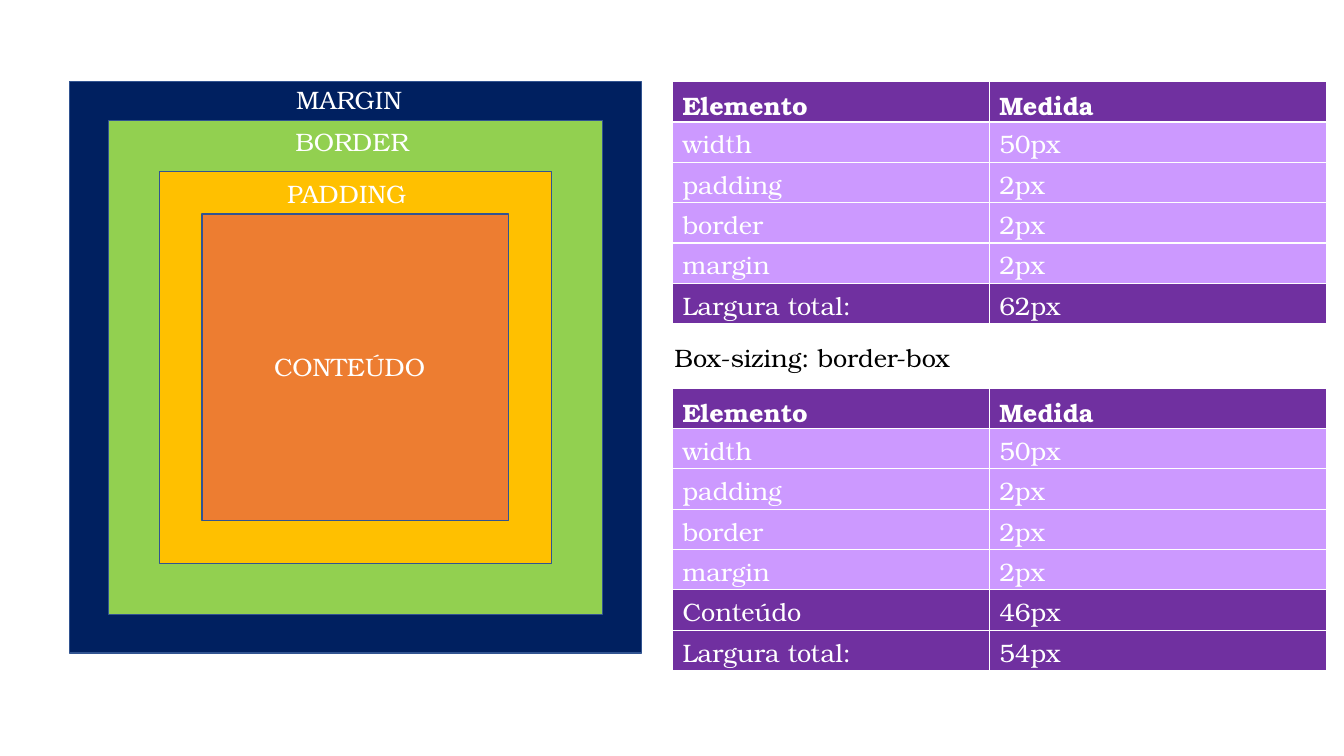
from collections import namedtuple
from dataclasses import dataclass

from pptx import Presentation
from pptx.dml.color import RGBColor
from pptx.enum.shapes import MSO_SHAPE
from pptx.enum.text import MSO_AUTO_SIZE
from pptx.util import Inches, Pt

Box = namedtuple("Box", "left top width height")
Layer = namedtuple("Layer", "name side color label_left label_top label_width")


@dataclass(frozen=True)
class Theme:
    font: str = "TeX Gyre Bonum"
    size: int = 18
    outline: str = "325491"
    outline_width: int = 1
    strong: str = "7030A0"
    soft: str = "CC99FF"
    light: str = "FFFFFF"
    dark: str = "000000"
    margin: str = "002060"
    border: str = "92D050"
    padding: str = "FFC000"
    content: str = "ED7D31"


THEME = Theme()

LAYERS = [
    Layer("MARGIN", 5.67, THEME.margin, 2.15, -0.02, 1.4),
    Layer("BORDER", 4.9, THEME.border, 2.14, 0.39, 1.41),
    Layer("PADDING", 3.89, THEME.padding, 2.06, 0.91, 1.55),
    Layer("CONTEÚDO", 3.04, THEME.content, 1.93, 2.63, 1.83),
]

MEASURES = [("width", "50px"), ("padding", "2px"), ("border", "2px"), ("margin", "2px")]
CONTENT_BOX_TOTALS = [("Largura total:", "62px")]
BORDER_BOX_TOTALS = [("Conteúdo", "46px"), ("Largura total:", "54px")]

ROW_HEIGHT = 0.4
ELEMENT_SHARE = 0.484


def style_paragraph(para, color, bold=False):
    para.font.name = THEME.font
    para.font.size = Pt(THEME.size)
    para.font.bold = bold
    para.font.color.rgb = RGBColor.from_string(color)


def add_label(page, box, text, color):
    frame = page.shapes.add_textbox(*map(Inches, box)).text_frame
    frame.word_wrap = False
    frame.auto_size = MSO_AUTO_SIZE.SHAPE_TO_FIT_TEXT
    frame.text = text
    style_paragraph(frame.paragraphs[0], color)


def add_box_model(page, box):
    for layer in LAYERS:
        left = box.left + (box.width - layer.side) / 2
        top = box.top + (box.height - layer.side) / 2
        square = page.shapes.add_shape(
            MSO_SHAPE.RECTANGLE, *map(Inches, (left, top, layer.side, layer.side))
        )
        square.shadow.inherit = False
        square.fill.solid()
        square.fill.fore_color.rgb = RGBColor.from_string(layer.color)
        square.line.color.rgb = RGBColor.from_string(THEME.outline)
        square.line.width = Pt(THEME.outline_width)
    for layer in LAYERS:
        label_box = Box(
            box.left + layer.label_left, box.top + layer.label_top, layer.label_width, 0.4
        )
        add_label(page, label_box, layer.name, THEME.light)


def add_measure_table(page, box, totals):
    rows = [("Elemento", "Medida"), *MEASURES, *totals]
    table = page.shapes.add_table(len(rows), 2, *map(Inches, box)).table
    table.horz_banding = False
    table.columns[0].width = Inches(box.width * ELEMENT_SHARE)
    table.columns[1].width = Inches(box.width * (1 - ELEMENT_SHARE))
    for row_index, values in enumerate(rows):
        table.rows[row_index].height = Inches(box.height / len(rows))
        is_measure = 1 <= row_index <= len(MEASURES)
        fill_color = THEME.soft if is_measure else THEME.strong
        for column_index, value in enumerate(values):
            cell = table.cell(row_index, column_index)
            cell.text = value
            cell.fill.solid()
            cell.fill.fore_color.rgb = RGBColor.from_string(fill_color)
            style_paragraph(cell.text_frame.paragraphs[0], THEME.light, row_index == 0)


def add_measure_tables(page, box):
    content_height = ROW_HEIGHT * (1 + len(MEASURES) + len(CONTENT_BOX_TOTALS))
    border_height = ROW_HEIGHT * (1 + len(MEASURES) + len(BORDER_BOX_TOTALS))
    bottom_top = box.top + box.height - border_height
    add_measure_table(
        page, Box(box.left, box.top, box.width, content_height), CONTENT_BOX_TOTALS
    )
    add_measure_table(
        page, Box(box.left, bottom_top, box.width, border_height), BORDER_BOX_TOTALS
    )
    caption_box = Box(box.left - 0.08, bottom_top - 0.5, 3.22, 0.4)
    add_label(page, caption_box, "Box-sizing: border-box", THEME.dark)


def main():
    deck = Presentation()
    deck.slide_width = Inches(13.33)
    deck.slide_height = Inches(7.5)
    page = deck.slides.add_slide(deck.slide_layouts[6])
    add_box_model(page, Box(0.69, 0.81, 5.67, 5.67))
    add_measure_tables(page, Box(6.67, 0.81, 6.49, 5.84))
    deck.save("out.pptx")


if __name__ == "__main__":
    main()
